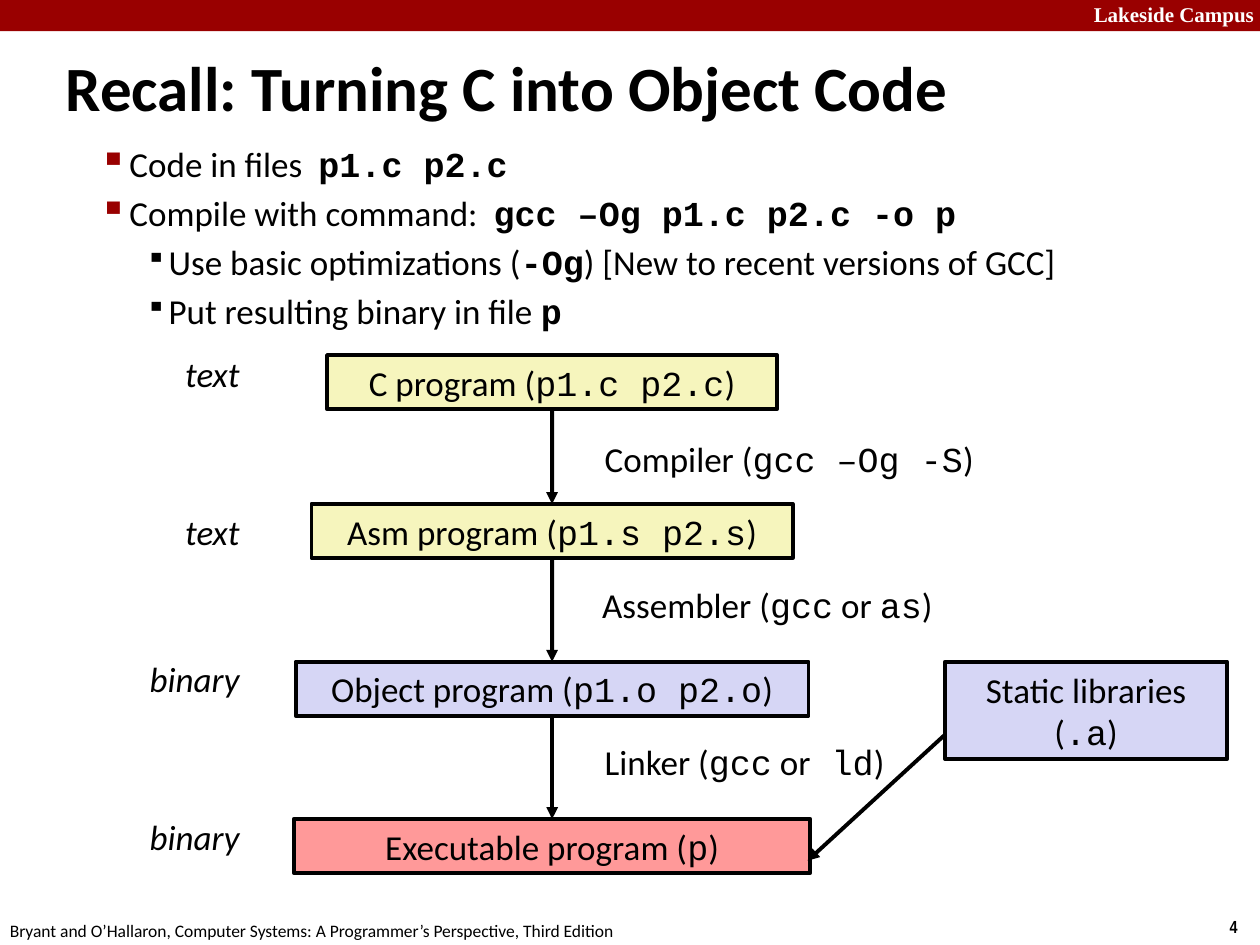
from dataclasses import dataclass

import pptx
import pptx.dml.color
import pptx.enum.shapes
import pptx.enum.text
import pptx.oxml.ns
import pptx.util
from lxml import etree

Cm = pptx.util.Cm
Pt = pptx.util.Pt
ALIGN = pptx.enum.text.PP_ALIGN
ANCHOR = pptx.enum.text.MSO_ANCHOR
qn = pptx.oxml.ns.qn

BLACK, WHITE, RED = "000000", "FFFFFF", "990000"
YELLOW, LILAC, PINK = "F6F5BD", "D6D6F5", "FF9999"
SANS, MONO = "Calibri", "Courier New"
CHAIN_X = 11.13
BOX_H = 1.09
LINE_W = 2.25


@dataclass
class Run:
    text: str
    font: str = SANS
    size: float = 20
    bold: bool = False
    italic: bool = False
    color: str = BLACK


@dataclass
class Box:
    left: float
    top: float
    width: float
    height: float
    fill: str
    runs: list[Run]


@dataclass
class Label:
    left: float
    top: float
    width: float
    height: float
    runs: list[Run]
    align: int = ALIGN.LEFT
    wrap: bool = True
    inset: float = 0.25


@dataclass
class Bullet:
    level: int
    runs: list[Run]


@dataclass
class BulletStyle:
    margin: float
    hang: float
    size: int
    color: str


def rgb(value: str) -> pptx.dml.color.RGBColor:
    return pptx.dml.color.RGBColor.from_string(value)


def code(text: str, bold: bool = False) -> Run:
    return Run(text, MONO, bold=bold)


def add_runs(p, runs: list[Run]) -> None:
    for run in runs:
        r = p.add_run()
        r.text = run.text
        f = r.font
        f.name, f.size, f.bold, f.italic = run.font, Pt(run.size), run.bold, run.italic
        f.color.rgb = rgb(run.color)


def add_rect(s, left: float, top: float, width: float, height: float, fill: str):
    sp = s.shapes.add_shape(pptx.enum.shapes.MSO_SHAPE.RECTANGLE,
                            Cm(left), Cm(top), Cm(width), Cm(height))
    sp.shadow.inherit = False
    sp.fill.solid()
    sp.fill.fore_color.rgb = rgb(fill)
    sp.line.fill.background()
    return sp


def add_box(s, box: Box):
    sp = add_rect(s, box.left, box.top, box.width, box.height, box.fill)
    sp.line.color.rgb = rgb(BLACK)
    sp.line.width = Pt(LINE_W)
    tf = sp.text_frame
    tf.word_wrap = True
    p = tf.paragraphs[0]
    p.alignment = ALIGN.CENTER
    add_runs(p, box.runs)
    return sp


def add_label(s, label: Label) -> None:
    sp = s.shapes.add_textbox(Cm(label.left), Cm(label.top), Cm(label.width), Cm(label.height))
    tf = sp.text_frame
    tf.word_wrap = label.wrap
    tf.margin_left = tf.margin_right = Cm(label.inset)
    p = tf.paragraphs[0]
    p.alignment = label.align
    add_runs(p, label.runs)


def add_arrow(s, x1: float = 0, y1: float = 0, x2: float = 0, y2: float = 0):
    cx = s.shapes.add_connector(pptx.enum.shapes.MSO_CONNECTOR.STRAIGHT,
                                Cm(x1), Cm(y1), Cm(x2), Cm(y2))
    cx.line.color.rgb = rgb(BLACK)
    cx.line.width = Pt(LINE_W)
    etree.SubElement(cx.line._get_or_add_ln(), qn("a:tailEnd"), type="triangle")
    etree.SubElement(cx._element.spPr, qn("a:effectLst"))
    return cx


def add_bullet(p, bullet: Bullet, style: BulletStyle) -> None:
    p.level = bullet.level
    p.space_before = Pt(4)
    pPr = p._p.get_or_add_pPr()
    pPr.set("marL", str(Cm(style.margin)))
    pPr.set("indent", str(-Cm(style.hang)))
    clr = etree.SubElement(pPr, qn("a:buClr"))
    etree.SubElement(clr, qn("a:srgbClr"), val=style.color)
    etree.SubElement(pPr, qn("a:buSzPct"), val=str(style.size * 1000))
    etree.SubElement(pPr, qn("a:buChar"), char="▪")
    add_runs(p, bullet.runs)


def chain_box(top: float, width: float, fill: str, name: str, files: str) -> Box:
    runs = [Run(f"{name} program ("), code(files), Run(")")]
    return Box(CHAIN_X - width / 2, top, width, BOX_H, fill, runs)


STYLES = {1: BulletStyle(1.55, 0.61, 110, RED), 2: BulletStyle(2.34, 0.46, 80, BLACK)}
BULLETS = [
    Bullet(1, [Run("Code in files  "), code("p1.c p2.c", True)]),
    Bullet(1, [Run("Compile with command:  "), code("gcc –Og p1.c p2.c -o p", True)]),
    Bullet(2, [Run("Use basic optimizations ("), code("-Og", True),
               Run(") [New to recent versions of GCC]")]),
    Bullet(2, [Run("Put resulting binary in file "), code("p", True)]),
]
CHAIN = [
    chain_box(7.16, 9.07, YELLOW, "C", "p1.c p2.c"),
    chain_box(10.16, 9.7, YELLOW, "Asm", "p1.s p2.s"),
    chain_box(13.34, 10.34, LILAC, "Object", "p1.o p2.o"),
    chain_box(16.51, 10.41, PINK, "Executable", "p"),
]
LIBRARIES = Box(19.05, 13.34, 5.69, 1.96, LILAC,
                [Run("Static libraries ("), code(".a"), Run(")")])
FORMATS = [("text", 6.99), ("text", 10.16), ("binary", 13.13), ("binary", 16.31)]
LABELS = [
    Label(11.94, 8.69, 8.43, BOX_H, [Run("Compiler ("), code("gcc –Og -S"), Run(")")]),
    Label(11.89, 11.63, 8.46, BOX_H,
          [Run("Assembler ("), code("gcc"), Run(" or "), code("as"), Run(")")]),
    Label(11.94, 14.81, 7.34, BOX_H,
          [Run("Linker ("), code("gcc"), Run(" or"), code(" ld"), Run(")")]),
    Label(24.54, 18.34, 0.86, 0.69, [Run("4", "Arial Narrow", 10, True)], wrap=False),
    Label(-0.05, 18.42, 12.9, 0.69,
          [Run("Bryant and O’Hallaron, Computer Systems: "
               "A Programmer’s Perspective, Third Edition", size=10)], wrap=False),
    Label(21.95, -0.1, 3.66, 0.71,
          [Run("Lakeside Campus", "Times New Roman", 12, True, color=WHITE)],
          wrap=False, inset=0.1),
]


def main() -> None:
    prs = pptx.Presentation()
    prs.slide_width, prs.slide_height = Cm(25.4), Cm(19.05)
    s = prs.slides.add_slide(prs.slide_layouts[5])
    add_rect(s, 0, 0, 25.4, 0.63, RED)

    title = s.shapes.title
    title.left, title.top, title.width, title.height = Cm(1.07), Cm(0.94), Cm(23.29), Cm(1.6)
    tf = title.text_frame
    tf.auto_size = pptx.enum.text.MSO_AUTO_SIZE.NONE
    tf.vertical_anchor = ANCHOR.MIDDLE
    tf.paragraphs[0].alignment = ALIGN.LEFT
    add_runs(tf.paragraphs[0], [Run("Recall: Turning C into Object Code", size=36, bold=True)])

    tf = s.shapes.add_textbox(Cm(0.81), Cm(2.74), Cm(23.09), Cm(4.06)).text_frame
    tf.word_wrap = True
    for i, bullet in enumerate(BULLETS):
        p = tf.add_paragraph() if i else tf.paragraphs[0]
        add_bullet(p, bullet, STYLES[bullet.level])

    for text, top in FORMATS:
        add_label(s, Label(2.31, top, 2.77, BOX_H, [Run(text, italic=True)], ALIGN.RIGHT))
    for label in LABELS:
        add_label(s, label)

    boxes = [add_box(s, box) for box in CHAIN]
    add_box(s, LIBRARIES)
    for upper, lower in zip(boxes, boxes[1:]):
        cx = add_arrow(s)
        cx.begin_connect(upper, 2)
        cx.end_connect(lower, 0)
    add_arrow(s, 19.05, 14.81, 16.28, 17.35)
    prs.save("out.pptx")


if __name__ == "__main__":
    main()
